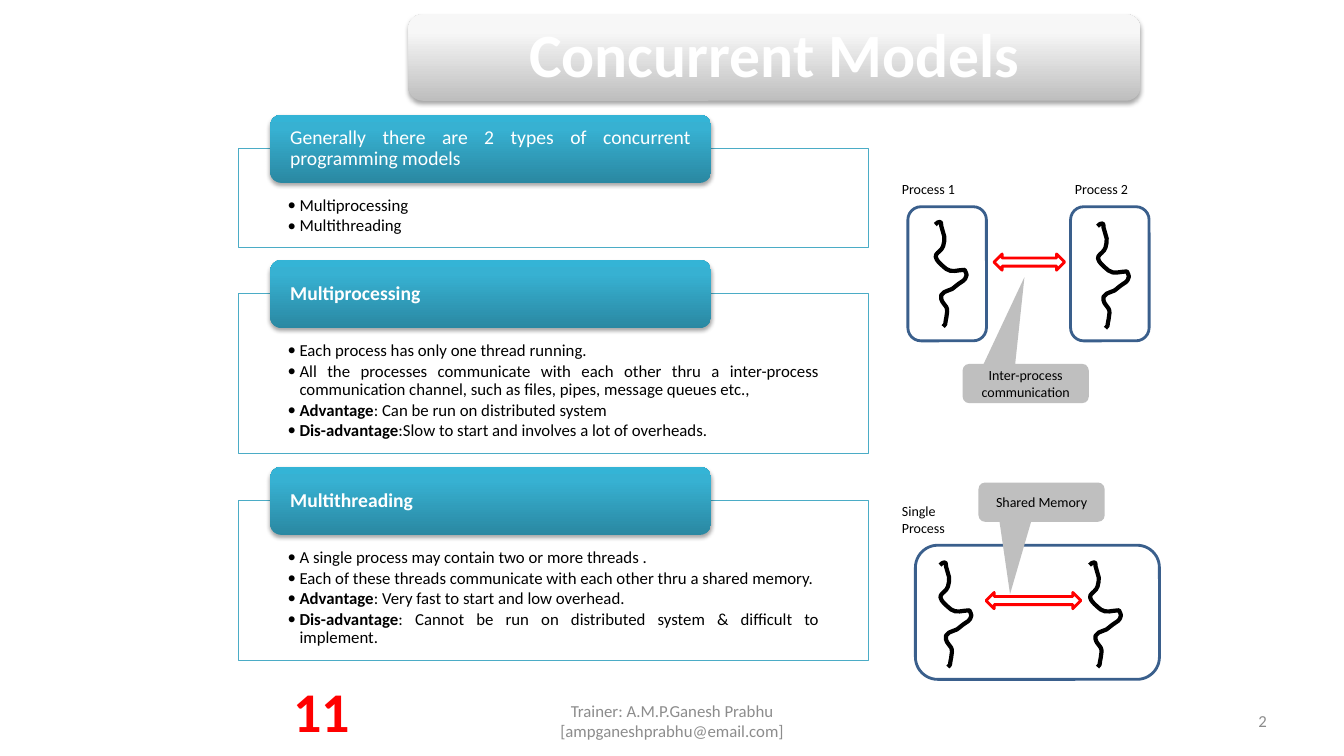
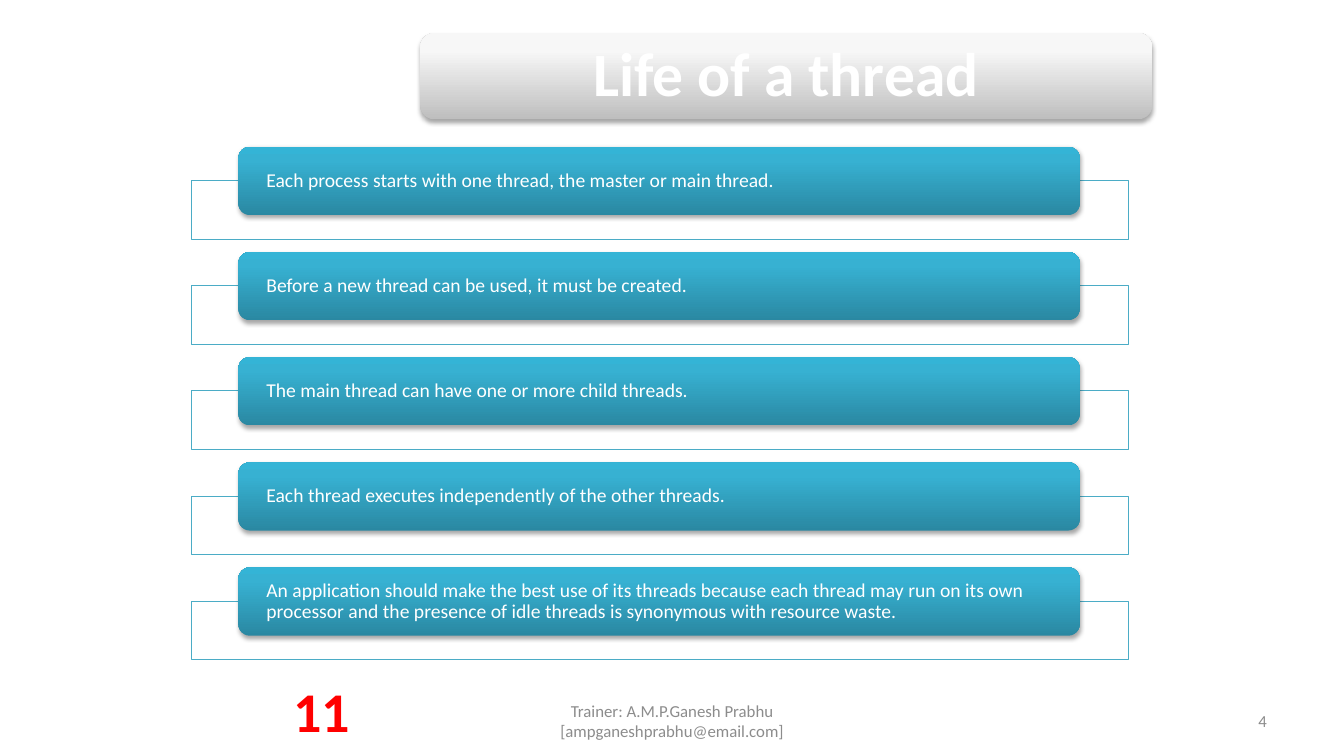
from dataclasses import dataclass

from pptx import Presentation
from pptx.dml.color import RGBColor
from pptx.enum.shapes import MSO_SHAPE
from pptx.enum.text import MSO_ANCHOR, MSO_AUTO_SIZE, PP_ALIGN
from pptx.oxml import parse_xml
from pptx.oxml.ns import nsdecls, qn
from pptx.util import Cm, Pt


@dataclass(frozen=True)
class Theme:
    font: str = "Calibri"
    white: str = "FFFFFF"
    black: str = "000000"
    teal: str = "4BACC6"
    navy: str = "3A5F8C"
    red: str = "FF0000"
    callout_grey: str = "BFBFBF"
    footer_grey: str = "8C8C8C"
    title_gradient: tuple = ("BEBEBE", "F7F7F7", "F8F8F8")
    heading_gradient: tuple = ("2A88A2", "37B1D2", "34B4D6")
    title_size: int = 44
    badge_size: int = 40
    heading_size: int = 14
    body_size: int = 12
    label_size: int = 10


THEME = Theme()
DEFAULT_MARGINS = (0.25, 0.13, 0.25, 0.13)


def decorate(shape, fill=None, line=None, width=0.75):
    """Set fill and outline; a tuple of three colours gives a raised gradient surface."""
    properties = shape.element.spPr
    if isinstance(fill, tuple):
        stops = "".join(
            f'<a:gs pos="{position}"><a:srgbClr val="{color}"/></a:gs>'
            for position, color in zip((0, 80000, 100000), fill)
        )
        properties.append(parse_xml(
            f'<a:gradFill {nsdecls("a")} rotWithShape="1"><a:gsLst>{stops}</a:gsLst>'
            '<a:lin ang="16200000" scaled="0"/></a:gradFill>'
        ))
    elif fill:
        shape.fill.solid()
        shape.fill.fore_color.rgb = RGBColor.from_string(fill)
    else:
        shape.fill.background()
    if line:
        shape.line.color.rgb = RGBColor.from_string(line)
        shape.line.width = Pt(width)
    else:
        shape.line.fill.background()
    shape.shadow.inherit = False
    if isinstance(fill, tuple):
        properties.find(qn("a:effectLst")).append(parse_xml(
            f'<a:outerShdw {nsdecls("a")} blurRad="39370" dist="23000" dir="5400000" '
            'rotWithShape="0"><a:srgbClr val="000000"><a:alpha val="35000"/></a:srgbClr>'
            '</a:outerShdw>'
        ))


def write(shape, lines, size, color, align=PP_ALIGN.LEFT, anchor=MSO_ANCHOR.MIDDLE,
          margins=DEFAULT_MARGINS, spacing=1.0, bulleted=False):
    """Fill a shape with paragraphs, each given as (bold lead, plain rest)."""
    frame = shape.text_frame
    frame_format = {"auto_size": MSO_AUTO_SIZE.NONE, "word_wrap": True, "vertical_anchor": anchor}
    sides = ("margin_left", "margin_top", "margin_right", "margin_bottom")
    frame_format.update(zip(sides, map(Cm, margins)))
    for name, value in frame_format.items():
        setattr(frame, name, value)
    for index, line in enumerate(lines):
        paragraph = frame.add_paragraph() if index else frame.paragraphs[0]
        if bulleted:
            settings = paragraph._p.get_or_add_pPr()
            settings.set("marL", str(Cm(0.3)))
            settings.set("indent", str(Cm(-0.3)))
            settings.append(parse_xml(f'<a:buFont {nsdecls("a")} typeface="{THEME.font}"/>'))
            settings.append(parse_xml(f'<a:buChar {nsdecls("a")} char="•"/>'))
            paragraph.space_after = Pt(1.8)
        paragraph.alignment = align
        paragraph.line_spacing = spacing
        for text, bold in zip(line, (True, False)):
            if text:
                run = paragraph.add_run()
                run.text = text
                font_format = {"name": THEME.font, "size": Pt(size), "bold": bold}
                for name, value in font_format.items():
                    setattr(run.font, name, value)
                run.font.color.rgb = RGBColor.from_string(color)


# Each section: heading, panel height, bullets
concurrent_models = {
    "title": "Concurrent Models", "title_at": (10.29, 0.36), "number": "2",
    "top": 2.89, "heading": (6.81, 11.11), "panel": (6.01, 15.88),
    "heading_margin": 0.42, "align": PP_ALIGN.JUSTIFY,
    "sections": [
        (("", "Generally there are 2 types of concurrent programming models"), 2.49, [
            ("", "Multiprocessing"),
            ("", "Multithreading"),
        ]),
        (("Multiprocessing", ""), 4.04, [
            ("", "Each process has only one thread running."),
            ("", "All the processes communicate with each other thru a inter-process "
                 "communication channel, such as files, pipes, message queues etc.,"),
            ("Advantage", ": Can be run on distributed system"),
            ("Dis-advantage", ":Slow to start and involves a lot of overheads."),
        ]),
        (("Multithreading", ""), 4.04, [
            ("", "A single process may contain two or more threads ."),
            ("", "Each of these threads communicate with each other thru a shared memory."),
            ("Advantage", ": Very fast to start and low overhead."),
            ("Dis-advantage", ": Cannot be run on distributed system & difficult to implement."),
        ]),
    ],
}
life_of_a_thread = {
    "title": "Life of a thread", "title_at": (10.59, 0.83), "number": "4",
    "top": 3.7, "heading": (6.01, 21.2), "panel": (4.83, 23.62),
    "heading_margin": 0.62, "align": PP_ALIGN.LEFT,
    "sections": [(("", sentence), 1.48, []) for sentence in (
        "Each process starts with one thread, the master or main thread.",
        "Before a new thread can be used, it must be created.",
        "The main thread can have one or more child threads.",
        "Each thread executes independently of the other threads.",
        "An application should make the best use of its threads because each thread may run on "
        "its own processor and the presence of idle threads is synonymous with resource waste.",
    )],
}
HEADING_HEIGHT, PANEL_DROP, SECTION_GAP = 1.72, 0.85, 0.32

# Text, box, size, colour, alignment, anchor, bold
footers = [
    ("Trainer: A.M.P.Ganesh Prabhu [ampganeshprabhu@email.com]", (11.58, 17.65, 10.72, 1.02),
     THEME.body_size, THEME.footer_grey, PP_ALIGN.CENTER, MSO_ANCHOR.MIDDLE, False),
    (None, (24.28, 17.65, 7.9, 1.02),
     THEME.body_size, THEME.footer_grey, PP_ALIGN.RIGHT, MSO_ANCHOR.MIDDLE, False),
    ("11", (7.11, 16.92, 1.98, 1.96),
     THEME.badge_size, THEME.red, PP_ALIGN.CENTER, MSO_ANCHOR.TOP, True),
]

presentation = Presentation()
presentation.slide_width, presentation.slide_height = Cm(33.87), Cm(19.05)
title_only = presentation.slide_layouts[5]

for content in (concurrent_models, life_of_a_thread):
    slide = presentation.slides.add_slide(title_only)
    title = slide.shapes.title
    left, top = content["title_at"]
    title_band = slide.shapes.add_shape(
        MSO_SHAPE.ROUNDED_RECTANGLE, Cm(left), Cm(top), Cm(18.45), Cm(2.18))
    decorate(title_band, THEME.title_gradient)
    title.element.addprevious(title_band.element)
    title_box = {"left": left + 0.1, "top": top + 0.1, "width": 18.25, "height": 1.98}
    for name, value in title_box.items():
        setattr(title, name, Cm(value))
    write(title, [(content["title"], "")], THEME.title_size, THEME.white,
          PP_ALIGN.CENTER, margins=(0.46,) * 4, spacing=0.9)

    top = content["top"]
    margin = content["heading_margin"]
    for heading_line, panel_height, bullets in content["sections"]:
        left, width = content["panel"]
        panel = slide.shapes.add_shape(
            MSO_SHAPE.RECTANGLE, Cm(left), Cm(top + PANEL_DROP), Cm(width), Cm(panel_height))
        decorate(panel, THEME.white, THEME.teal)
        if bullets:
            write(panel, bullets, THEME.body_size, THEME.black, content["align"],
                  MSO_ANCHOR.TOP, (1.24, 1.22, 1.24, 0.23), 0.9, bulleted=True)
        left, width = content["heading"]
        heading = slide.shapes.add_shape(
            MSO_SHAPE.ROUNDED_RECTANGLE, Cm(left), Cm(top), Cm(width), Cm(HEADING_HEIGHT))
        decorate(heading, THEME.heading_gradient)
        write(heading, [heading_line], THEME.heading_size, THEME.white, content["align"],
              margins=(margin, 0, margin, 0), spacing=0.9)
        top += PANEL_DROP + panel_height + SECTION_GAP

    for text, box, size, color, align, anchor, bold in footers:
        text = text or content["number"]
        footer = slide.shapes.add_textbox(*map(Cm, box))
        write(footer, [(text, "") if bold else ("", text)], size, color, align, anchor)

# Process diagrams beside the concurrent models
diagram = presentation.slides[0].shapes

for box in ((22.88, 5.21, 1.98, 3.38), (26.98, 5.21, 1.98, 3.38), (23.07, 13.74, 6.15, 3.38)):
    process = diagram.add_shape(MSO_SHAPE.ROUNDED_RECTANGLE, *map(Cm, box))
    decorate(process, line=THEME.navy, width=2)

# Bézier curves of one thread: two control points and an end point each
thread_start = (0.23, 0.1)
thread_curves = [
    ((0.28, 0.08), (0.3, 0), (0.36, 0.03)),
    ((0.38, 0.03), (0.38, 0.1), (0.38, 0.13)),
    ((0.48, 0.48), (0.38, 0.13), (0.46, 0.41)),
    ((0.46, 0.48), (0.46, 0.56), (0.43, 0.64)),
    ((0.36, 0.86), (0, 0.81), (0.51, 1.22)),
    ((0.64, 1.32), (0.81, 1.24), (0.97, 1.24)),
    ((0.99, 1.3), (1.02, 1.32), (1.02, 1.37)),
    ((0.99, 1.52), (0.91, 1.52), (0.81, 1.6)),
    ((0.58, 1.78), (0.74, 1.68), (0.46, 1.8)),
    ((0.43, 1.83), (0.41, 1.83), (0.38, 1.88)),
    ((0.36, 2.03), (0.43, 2.06), (0.51, 2.18)),
    ((0.53, 2.21), (0.53, 2.26), (0.53, 2.29)),
    ((0.53, 2.34), (0.51, 2.39), (0.51, 2.44)),
    ((0.46, 2.67), (0.51, 2.59), (0.43, 2.67)),
]
thread_points = [tuple(map(Cm, point)) for curve in thread_curves for point in curve]

for left, top in ((23.34, 5.56), (27.43, 5.6), (23.46, 14.14), (27.23, 14.14)):
    outline = diagram.build_freeform(*map(Cm, thread_start))
    outline.add_line_segments(thread_points, close=False)
    thread = outline.convert_to_shape(Cm(left), Cm(top))
    decorate(thread, line=THEME.black, width=3)
    # Join each three straight segments into one curve
    segments = list(thread.element.iter(qn("a:lnTo")))
    for first in range(0, len(segments), 3):
        curve = parse_xml(f'<a:cubicBezTo {nsdecls("a")}/>')
        segments[first].addprevious(curve)
        for segment in segments[first:first + 3]:
            curve.append(segment[0])
            segment.getparent().remove(segment)

for box in ((25.05, 6.4, 1.78, 0.41), (24.85, 14.93, 2.39, 0.41)):
    exchange = diagram.add_shape(MSO_SHAPE.LEFT_RIGHT_ARROW, *map(Cm, box))
    decorate(exchange, THEME.white, THEME.red, 2)

for text, left, top, tail in (
    ("Inter-process communication", 24.26, 9.17, (-0.01, -2.71)),
    ("Shared Memory", 24.66, 12.16, (-0.25, 2.34)),
):
    callout = diagram.add_shape(
        MSO_SHAPE.ROUNDED_RECTANGULAR_CALLOUT, Cm(left), Cm(top), Cm(3.18), Cm(0.99))
    callout.adjustments[0], callout.adjustments[1] = tail
    decorate(callout, THEME.callout_grey)
    write(callout, [("", text)], THEME.label_size, THEME.black, PP_ALIGN.CENTER)

for text, left, top, height in (
    ("Process 1", 22.48, 4.42, 0.69),
    ("Process 2", 26.84, 4.42, 0.69),
    ("Single Process", 22.48, 12.53, 1.12),
):
    label = diagram.add_textbox(Cm(left), Cm(top), Cm(2.18), Cm(height))
    write(label, [("", text)], THEME.label_size, THEME.black, anchor=MSO_ANCHOR.TOP)

presentation.save("out.pptx")
